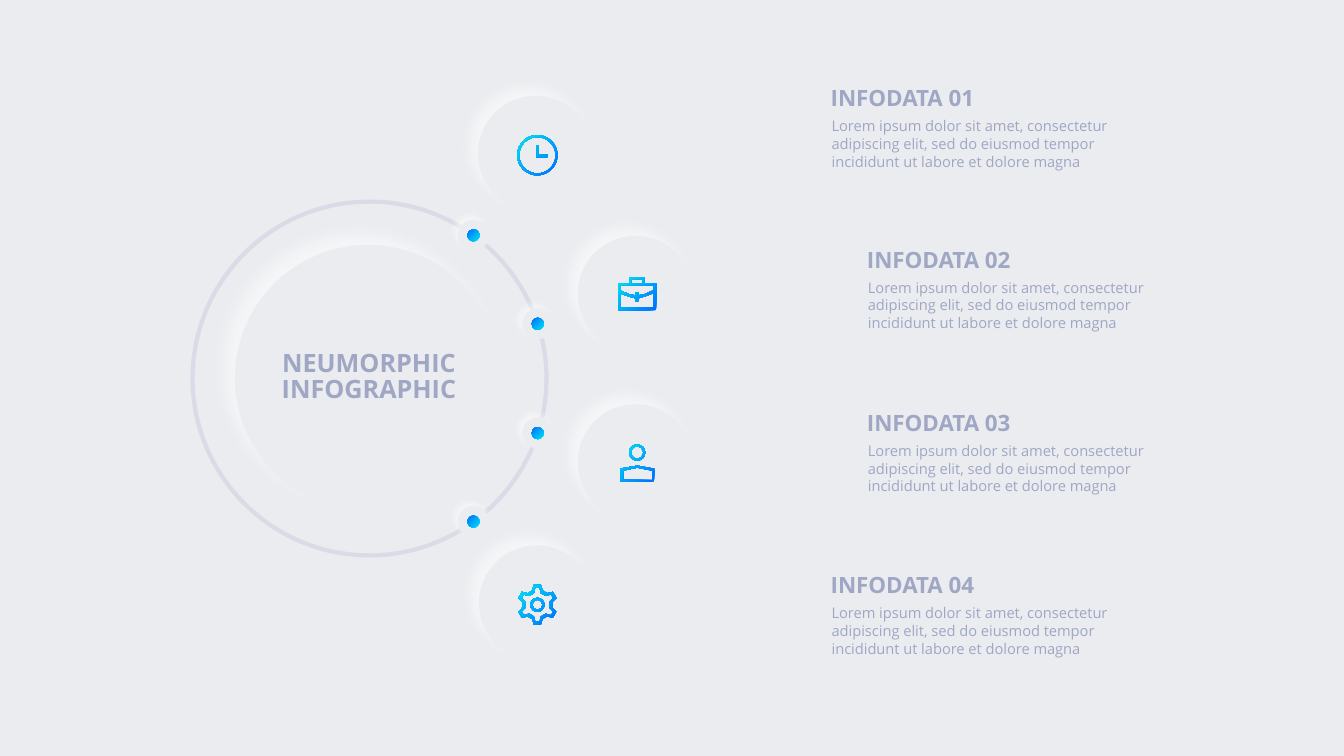
from dataclasses import dataclass
from math import cos, radians, sin, tan

from lxml import etree
from pptx import Presentation
from pptx.dml.color import RGBColor
from pptx.enum.shapes import MSO_SHAPE as Shape
from pptx.enum.text import MSO_ANCHOR as Anchor, MSO_AUTO_SIZE as AutoSize, PP_ALIGN as Align
from pptx.oxml.ns import qn
from pptx.util import Pt

# Content
TITLE = ["NEUMORPHIC", "INFOGRAPHIC"]
BODY = ("Lorem ipsum dolor sit amet, consectetur adipiscing elit, "
        "sed do eiusmod tempor incididunt ut labore et dolore magna")
ENTRIES = [("INFODATA 01", 814, 82), ("INFODATA 02", 850, 242),
           ("INFODATA 03", 850, 404), ("INFODATA 04", 814, 565)]
BUTTONS = [(474, 95), (573, 234), (573, 401), (475, 541)]

# Layout in px, 100 to the inch
PX = 9144
SLIDE_SIZE = (1333, 750)
CENTER = (366.5, 375.5)
RING_RADIUS = 175.5
DISC = (233, 243, 264)
NODE_ANGLES = [-54, -18, 18, 54]
NODE_GAP = 4.4
NODE_SIZE, DOT_SIZE, BUTTON_SIZE = 31, 12, 115
BODY_DROP = 21


@dataclass(frozen=True)
class Theme:
    font: str = "Open Sans"
    surface: str = "EBECF0"
    ring: str = "D9DCE7"
    text: str = "9FA7C4"
    glow: str = "FFFFFF"
    blue: str = "006EFF"
    cyan: str = "00E6F2"
    title_size: float = 18
    heading_size: float = 16
    body_size: float = 10.5


THEME = Theme()


def color(value):
    return RGBColor.from_string(value)


def px(*values):
    return [round(value * PX) for value in values]


# Geometry: a contour is its points and whether they form cubic curves
def polar(center, radius, angle):
    return (center[0] + radius * cos(radians(angle)), center[1] + radius * sin(radians(angle)))


def arc(center, radius, start, end):
    quarters = [angle for angle in range(-360, 361, 90) if start < angle < end]
    stops = [start, *quarters, end]
    points = [polar(center, radius, start)]
    for first, last in zip(stops, stops[1:]):
        reach = radius * 4 / 3 * tan(radians(last - first) / 4)
        points += [polar(polar(center, radius, first), reach, first + 90),
                   polar(polar(center, radius, last), reach, last - 90),
                   polar(center, radius, last)]
    return points, True


def circle(center, radius):
    return arc(center, radius, 0, 360)


def polygon(*points):
    return points, False


def box(left, top, right, bottom):
    return polygon((left, top), (right, top), (right, bottom), (left, bottom))


def gear(center, tip, tip_angle, base, base_angle):
    profile = [(base, -base_angle), (tip, -tip_angle), (tip, tip_angle), (base, base_angle)]
    return polygon(*[polar(center, radius, tooth * 60 - 90 + offset)
                     for tooth in range(6) for radius, offset in profile])


CLOCK, HEAD, COG = (533, 154), (632, 449), (533, 600)
ICONS = [
    # Clock
    [circle(CLOCK, 20), circle(CLOCK, 18),
     polygon((532, 144), (534, 144), (534, 153), (543, 153), (543, 156), (532, 156))],
    # Briefcase
    [polygon((613, 281), (624, 281), (624, 275), (639, 275),
             (639, 281), (651, 281), (651, 308), (613, 308)),
     box(626, 277, 637, 281),
     polygon((615, 283), (648, 283), (648, 288), (639, 292), (633, 293), (633, 290),
             (630, 290), (630, 293), (624, 292), (615, 288)),
     polygon((615, 291), (623, 294), (630, 296), (630, 299), (633, 299), (633, 296),
             (640, 294), (648, 291), (648, 305), (615, 305))],
    # Person
    [polygon((615, 465), (632, 462), (649, 465), (649, 478), (615, 478)),
     polygon((618, 467), (632, 464), (647, 467), (647, 476), (618, 476)),
     circle(HEAD, 8), circle(HEAD, 6)],
    # Gear
    [gear(COG, 20, 10, 15, 20), gear(COG, 17, 7, 12, 17), circle(COG, 7), circle(COG, 5)],
]


# Drawing
def fill_gradient(shape, first, last):
    shape.fill.gradient()
    shape.fill.gradient_angle = 135
    for stop, value in zip(shape.fill.gradient_stops, (first, last)):
        stop.color.rgb = color(value)


def add_circle(slide, left, top, size, blur=0, distance=0):
    shape = slide.shapes.add_shape(Shape.OVAL, *px(left, top, size, size))
    shape.line.fill.background()
    shape.shadow.inherit = False
    shape.fill.solid()
    shape.fill.fore_color.rgb = color(THEME.surface)
    if blur:
        effects = shape.element.spPr.find(qn("a:effectLst"))
        shadow = etree.SubElement(effects, qn("a:outerShdw"), blurRad=str(Pt(blur)),
                                  dist=str(Pt(distance)), dir=str(225 * 60000), rotWithShape="0")
        tint = etree.SubElement(shadow, qn("a:srgbClr"), val=THEME.glow)
        etree.SubElement(tint, qn("a:alpha"), val="56000")
    return shape


def add_outline(slide, contours, closed=True):
    builder = None
    for (first, *rest), _ in contours:
        if builder is None:
            builder = slide.shapes.build_freeform(*px(*first), scale=1.0)
        else:
            builder.move_to(*px(*first))
        builder.add_line_segments([px(*point) for point in rest], close=closed)
    shape = builder.convert_to_shape()
    shape.shadow.inherit = False

    # Join each three points of a curved contour into one cubic segment
    outline = shape.element.spPr.find(".//" + qn("a:path"))
    segments = iter(outline.findall(qn("a:lnTo")))
    for points, curved in contours:
        steps = [next(segments) for _ in points[1:]]
        for index in range(0, len(steps) if curved else 0, 3):
            cubic = etree.Element(qn("a:cubicBezTo"))
            steps[index].addprevious(cubic)
            for step in steps[index:index + 3]:
                cubic.append(step[0])
                outline.remove(step)
    return shape


def write(shape, lines, size, bold=False, align=Align.LEFT, anchor=Anchor.TOP,
          spacing=None, before=0, inset=None):
    frame = shape.text_frame
    frame.word_wrap = True
    frame.auto_size = AutoSize.NONE
    frame.vertical_anchor = anchor
    if inset is not None:
        frame.margin_left = frame.margin_right = frame.margin_top = frame.margin_bottom = inset
    for index, line in enumerate(lines):
        paragraph = frame.add_paragraph() if index else frame.paragraphs[0]
        paragraph.alignment = align
        paragraph.space_before = Pt(before)
        paragraph.line_spacing = spacing
        run = paragraph.add_run()
        run.text = line
        run.font.name, run.font.size, run.font.bold = THEME.font, Pt(size), bold
        run.font.color.rgb = color(THEME.text)


def main():
    presentation = Presentation()
    presentation.slide_width, presentation.slide_height = px(*SLIDE_SIZE)
    slide = presentation.slides.add_slide(presentation.slide_layouts[5])
    slide.background.fill.solid()
    slide.background.fill.fore_color.rgb = color(THEME.surface)

    # Ring, broken at each node
    for start, end in zip([NODE_ANGLES[-1] - 360] + NODE_ANGLES, NODE_ANGLES):
        segment = add_outline(slide, [arc(CENTER, RING_RADIUS, start + NODE_GAP, end - NODE_GAP)],
                              closed=False)
        segment.fill.background()
        segment.line.color.rgb = color(THEME.ring)
        segment.line.width = Pt(3)

    # Central disc with the title on top
    add_circle(slide, *DISC, 12, 11)
    title = slide.shapes.title
    title.left, title.top, title.width, title.height = px(266, 349, 200, 52)
    write(title, TITLE, THEME.title_size, bold=True, align=Align.CENTER, spacing=Pt(18.5), inset=0)
    title.element.getparent().append(title.element)

    # Nodes on the ring
    for angle in NODE_ANGLES:
        x, y = polar(CENTER, RING_RADIUS, angle)
        add_circle(slide, x - NODE_SIZE / 2, y - NODE_SIZE / 2, NODE_SIZE, 5, 4)
        dot = add_circle(slide, x - DOT_SIZE / 2, y - DOT_SIZE / 2, DOT_SIZE)
        fill_gradient(dot, THEME.cyan, THEME.blue)

    # Buttons and their icons
    for (left, top), contours in zip(BUTTONS, ICONS):
        add_circle(slide, left, top, BUTTON_SIZE, 9, 9)
        icon = add_outline(slide, contours)
        icon.line.fill.background()
        fill_gradient(icon, THEME.blue, THEME.cyan)

    # Text entries
    for heading, left, top in ENTRIES:
        body_box = slide.shapes.add_textbox(*px(left + 1, top + BODY_DROP, 304, 79))
        write(body_box, [BODY], THEME.body_size, anchor=Anchor.MIDDLE)
        heading_box = slide.shapes.add_textbox(*px(left, top, 277, 59))
        write(heading_box, [heading], THEME.heading_size, bold=True, spacing=0.9, before=10)

    presentation.save("out.pptx")


if __name__ == "__main__":
    main()
